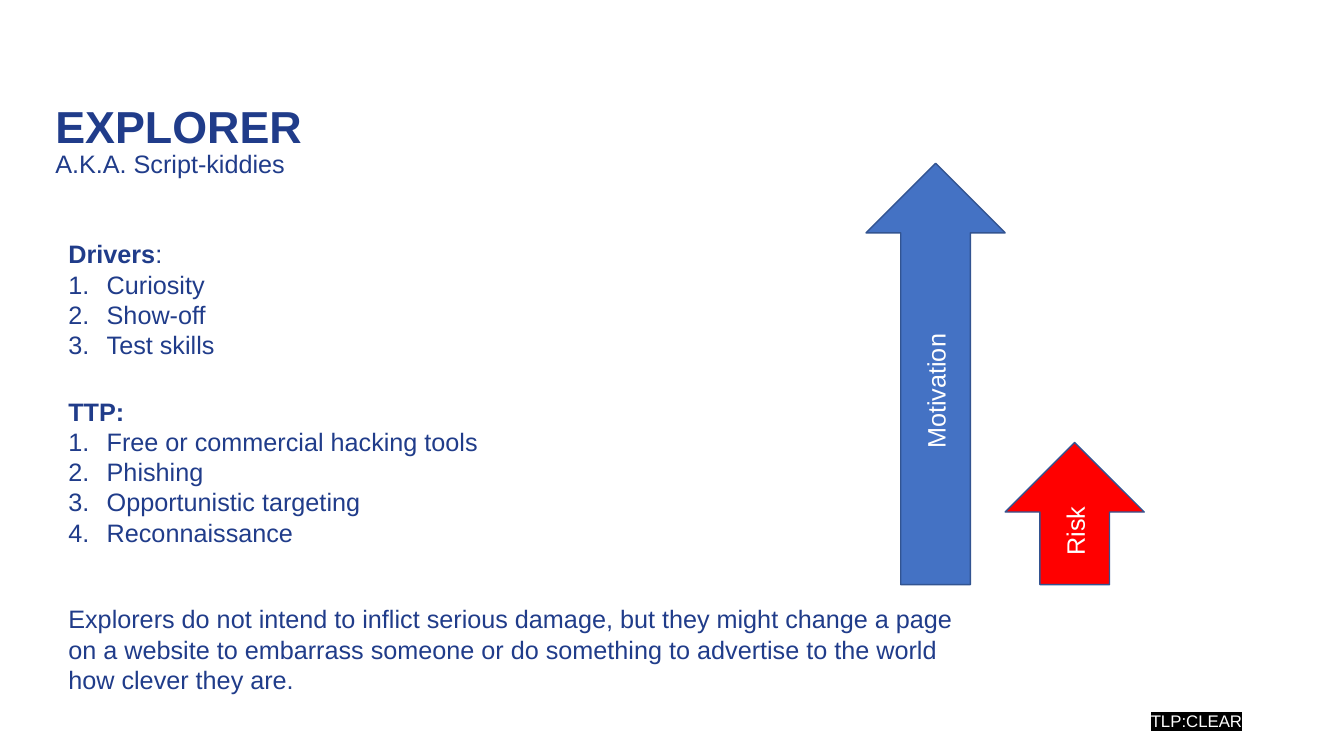
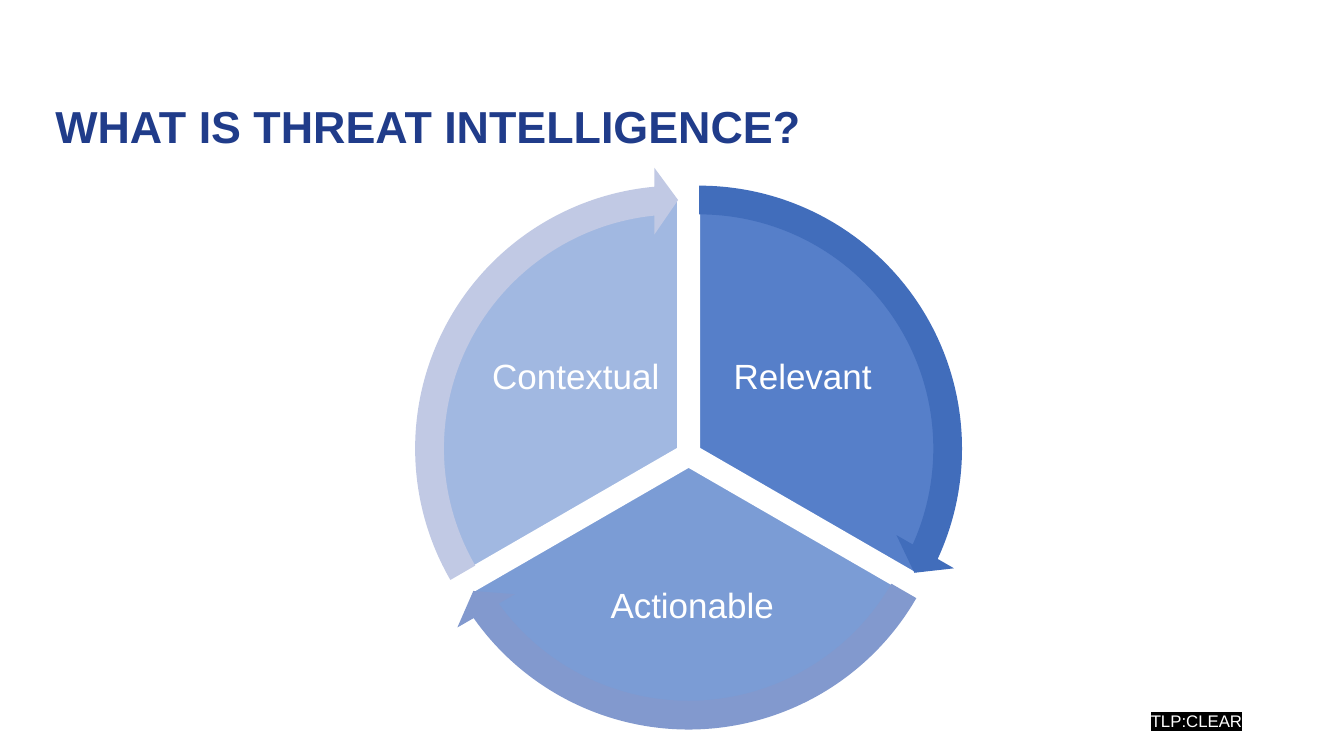
import math
from dataclasses import dataclass

import pptx
import pptx.dml.color
import pptx.enum.shapes
import pptx.enum.text
import pptx.oxml.ns
import pptx.util
from lxml import etree

FONT = "Arial"
NAVY, WHITE, BLACK = "203C8A", "FFFFFF", "000000"
BLUE, BLUE_EDGE, RED = "4472C4", "325491", "FF0000"
BODY_SIZE = 18
LIST_INDENT = 0.38

SHAPE = pptx.enum.shapes.MSO_SHAPE
ALIGN = pptx.enum.text.PP_ALIGN
ANCHOR = pptx.enum.text.MSO_ANCHOR


@dataclass
class Box:
    """A rectangle in inches; areas in it are given in percent of its size."""
    left: float
    top: float
    width: float
    height: float

    def area(self, left, top, width, height):
        return Box(self.left + self.width * left / 100,
                   self.top + self.height * top / 100,
                   self.width * width / 100, self.height * height / 100)

    def inches(self):
        return [pptx.util.Inches(length) for length in
                (self.left, self.top, self.width, self.height)]


PAGE = Box(0, 0, 13.33, 7.5)


# Shared helpers
def color(hex_string):
    return pptx.dml.color.RGBColor.from_string(hex_string)


def add_element(parent, tag, **attributes):
    element = etree.SubElement(parent, pptx.oxml.ns.qn(tag))
    for name, value in attributes.items():
        element.set(name, str(value))
    return element


def format_run(run, size=BODY_SIZE, text_color=NAVY, bold=False):
    run.font.size = pptx.util.Pt(size)
    run.font.bold = bold
    run.font.color.rgb = color(text_color)
    run.font.name = FONT


def add_text(slide, box, text, size=BODY_SIZE, text_color=NAVY, bold=False,
             anchor=ANCHOR.TOP, align=ALIGN.LEFT, line_spacing=None, margin=None):
    shape = slide.shapes.add_textbox(*box.inches())
    frame = shape.text_frame
    frame.word_wrap = True
    frame.vertical_anchor = anchor
    if margin is not None:
        frame.margin_left = frame.margin_right = pptx.util.Inches(margin)
        frame.margin_top = frame.margin_bottom = pptx.util.Inches(margin)
    frame.text = text
    for paragraph in frame.paragraphs:
        paragraph.alignment = align
        if line_spacing:
            paragraph.line_spacing = line_spacing
        for run in paragraph.runs:
            format_run(run, size, text_color, bold)
    return frame


def add_filled_shape(slide, kind, box, fill, line=None, line_width=1, adjustments=()):
    shape = slide.shapes.add_shape(kind, *box.inches())
    shape.shadow.inherit = False
    shape.fill.solid()
    shape.fill.fore_color.rgb = color(fill)
    if line:
        shape.line.color.rgb = color(line)
        shape.line.width = pptx.util.Pt(line_width)
    else:
        shape.line.fill.background()
    for index, value in enumerate(adjustments):
        shape.adjustments[index] = value
    return shape


def set_opacity(shape, percent):
    fill = shape._element.spPr.find(pptx.oxml.ns.qn("a:solidFill"))
    add_element(fill[0], "a:alpha", val=percent * 1000)


# Title and classification label, the same on every slide
def add_page(presentation, title):
    slide = presentation.slides.add_slide(presentation.slide_layouts[6])
    add_text(slide, PAGE.area(3.38, 8.4, 70.2, 12.53), title, size=32, bold=True,
             anchor=ANCHOR.BOTTOM, line_spacing=0.9)
    label = add_text(slide, PAGE.area(84.77, 92.67, 8.4, 5.33), "TLP:CLEAR", size=12,
                     text_color=WHITE, anchor=ANCHOR.MIDDLE, align=ALIGN.RIGHT)
    properties = label.paragraphs[0].runs[0]._r.get_or_add_rPr()
    highlight = add_element(properties, "a:highlight")
    add_element(highlight, "a:srgbClr", val=BLACK)
    properties.find(pptx.oxml.ns.qn("a:solidFill")).addnext(highlight)
    return slide


# Bold heading above a numbered list
def add_numbered_list(slide, box, heading, items, heading_tail=""):
    frame = add_text(slide, box, heading, bold=True)
    if heading_tail:
        tail = frame.paragraphs[0].add_run()
        tail.text = heading_tail
        format_run(tail)
    for item in items:
        paragraph = frame.add_paragraph()
        paragraph.text = item
        properties = paragraph._p.get_or_add_pPr()
        indent = pptx.util.Inches(LIST_INDENT)
        properties.set("marL", str(int(indent)))
        properties.set("indent", str(-int(indent)))
        add_element(properties, "a:buFont", typeface="+mj-lt")
        add_element(properties, "a:buAutoNum", type="arabicPeriod")
        format_run(paragraph.runs[0])


# Up arrows side by side on one baseline; levels are percent of the box height
def add_level_arrows(slide, box, levels):
    width = 100 / len(levels)
    for index, (name, level, fill) in enumerate(levels):
        arrow = add_filled_shape(slide, SHAPE.UP_ARROW,
                                 box.area(index * width, 100 - level, width, level),
                                 fill, BLUE_EDGE)
        frame = arrow.text_frame
        frame._txBody.bodyPr.set("vert", "vert270")
        frame.vertical_anchor = ANCHOR.MIDDLE
        frame.text = name
        frame.paragraphs[0].alignment = ALIGN.CENTER
        format_run(frame.paragraphs[0].runs[0], text_color=WHITE)


# Pie slices pushed out from the centre, each followed by a curved arrow
def add_cycle(slide, box, slices):
    slice_size, push, head_angle = 89.09, 2.15, 5.46
    sweep = 360 / len(slices)

    def angle(degrees):
        return degrees % 360 * 0.6

    def pushed(middle, size):
        edge = (100 - size) / 2
        return box.area(edge + push * math.cos(math.radians(middle)),
                        edge + push * math.sin(math.radians(middle)), size, size)

    starts = [270 + index * sweep for index in range(len(slices))]
    for start, (name, opacity, _, label_area) in zip(starts, slices):
        pie = add_filled_shape(slide, SHAPE.PIE, pushed(start + sweep / 2, slice_size),
                               BLUE, WHITE, 1.5, (angle(start), angle(start + sweep)))
        set_opacity(pie, opacity)
        add_text(slide, box.area(*label_area), name, size=25, text_color=WHITE,
                 anchor=ANCHOR.MIDDLE, align=ALIGN.CENTER, line_spacing=0.9, margin=0.03)
    for start, (_, _, arrow_fill, _) in zip(starts, slices):
        add_filled_shape(slide, SHAPE.CIRCULAR_ARROW, pushed(start + sweep / 2, 100),
                         arrow_fill, adjustments=(
                             5.1 / 100, angle(head_angle),
                             angle(start + sweep - head_angle), angle(start), 5.9 / 100))


def build_explorer(presentation):
    slide = add_page(presentation, "EXPLORER")
    add_text(slide, PAGE.area(3.38, 18.93, 22.5, 5.33), "A.K.A. Script-kiddies")
    add_numbered_list(slide, PAGE.area(4.35, 30.93, 33, 17.47), "Drivers",
                      ["Curiosity", "Show-off", "Test skills"], heading_tail=":")
    add_numbered_list(slide, PAGE.area(4.35, 51.73, 33, 25.6), "TTP:",
                      ["Free or commercial hacking tools", "Phishing",
                       "Opportunistic targeting", "Reconnaissance"])
    add_text(slide, PAGE.area(4.35, 79.2, 67.9, 13.47),
             "Explorers do not intend to inflict serious damage, but they might change "
             "a page on a website to embarrass someone or do something to advertise to "
             "the world how clever they are.")
    add_level_arrows(slide, PAGE.area(64.44, 21.6, 20.7, 55.73),
                     [("Motivation", 100, BLUE), ("Risk", 33.73, RED)])


def build_threat_intelligence(presentation):
    slide = add_page(presentation, "WHAT IS THREAT INTELLIGENCE?")
    add_cycle(slide, PAGE.area(30.27, 22.87, 41.94, 74.53), [
        ("Relevant", 90, "416DBB", (54.29, 23.17, 31.84, 26.48)),
        ("Actionable", 70, "8299CE", (26.74, 65.38, 47.76, 23.26)),
        ("Contextual", 50, "C1C9E4", (14.04, 23.17, 31.84, 26.48)),
    ])


def main():
    presentation = pptx.Presentation()
    presentation.slide_width = pptx.util.Inches(PAGE.width)
    presentation.slide_height = pptx.util.Inches(PAGE.height)
    build_explorer(presentation)
    build_threat_intelligence(presentation)
    presentation.save("out.pptx")


if __name__ == "__main__":
    main()
